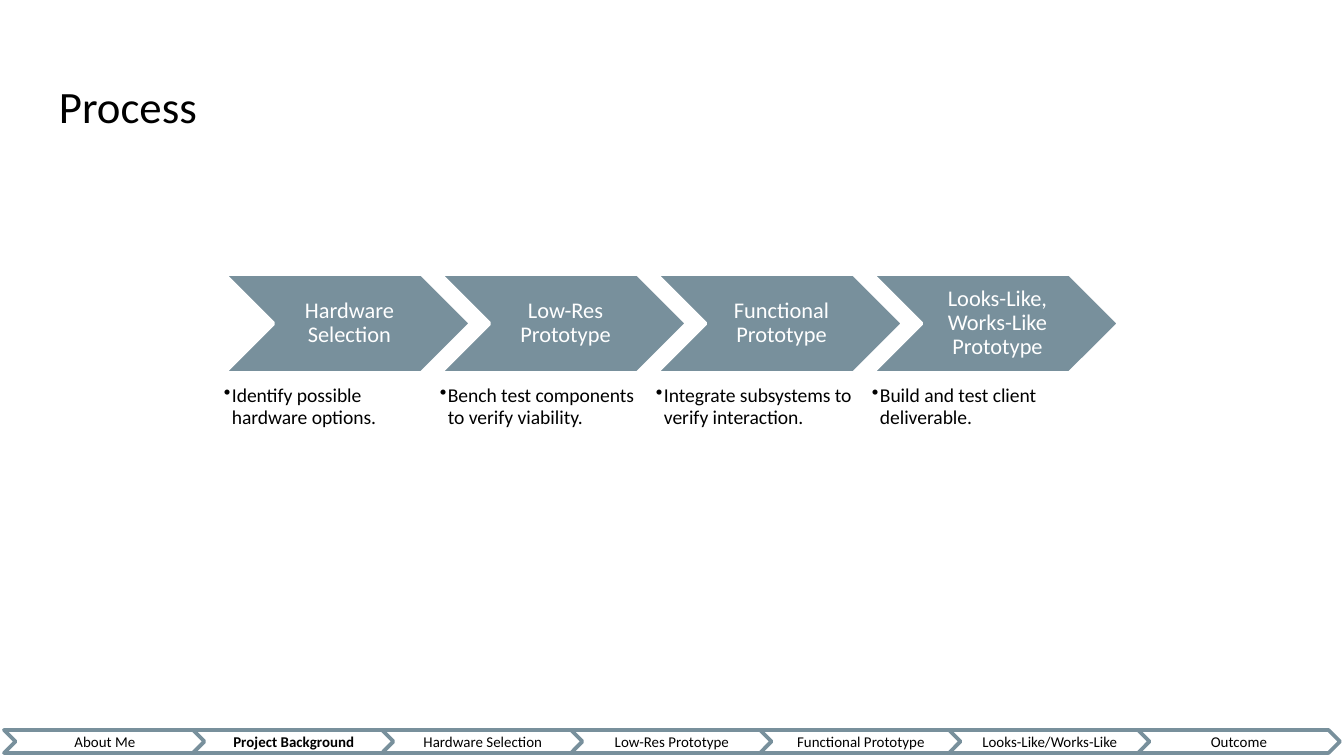
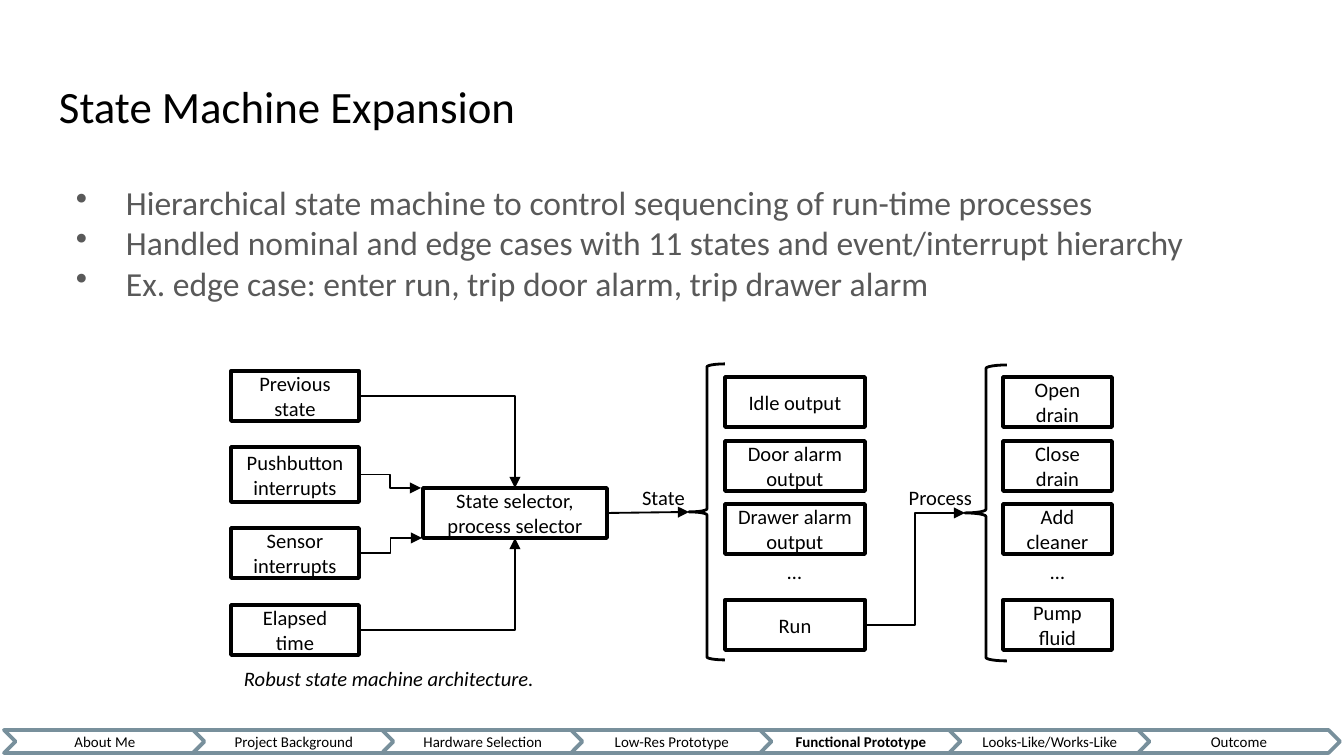
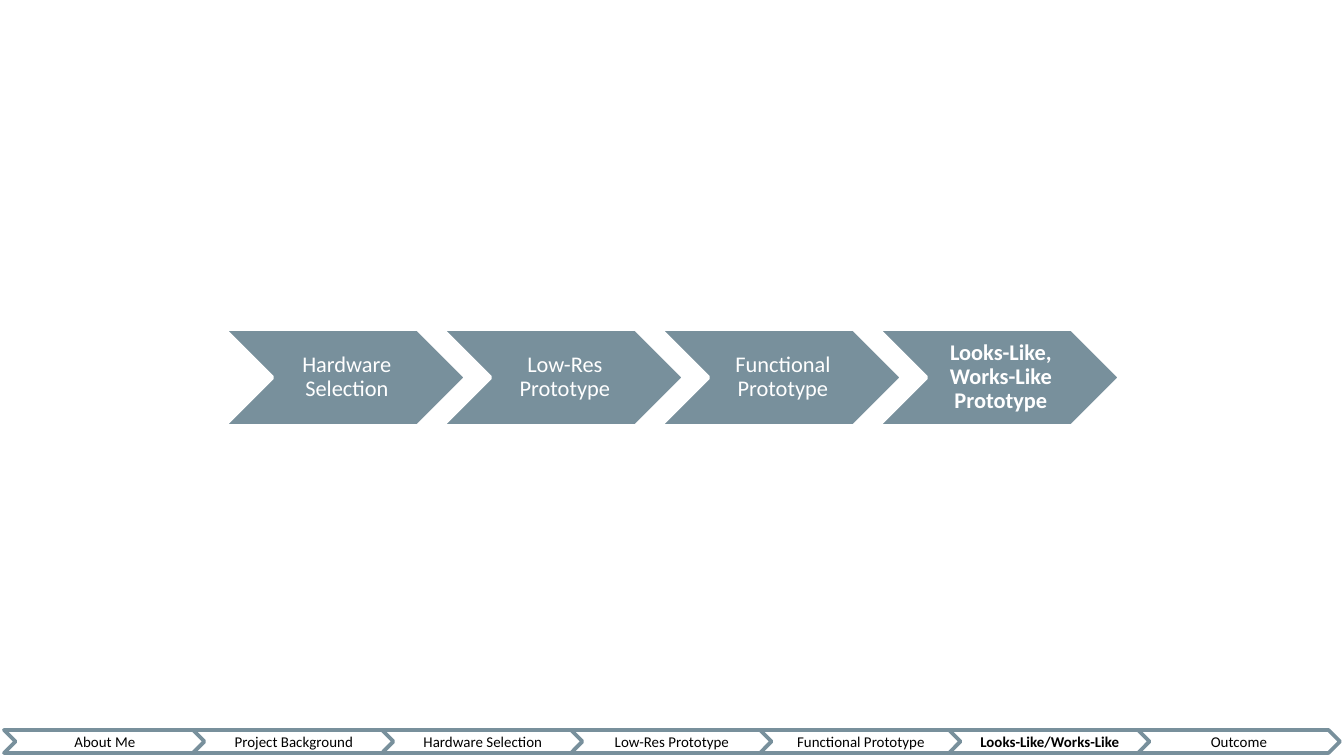
import lxml.etree
import pptx
import pptx.dml.color
import pptx.enum.shapes
import pptx.enum.text
import pptx.oxml.ns
import pptx.util

EMU_PER_PX = 914400 / 134.4
FONT = "Calibri"
COLORS = {
    "ink": "000000",
    "paper": "FFFFFF",
    "slate": "78909C",
    "body": "595959",
}
SHAPES = pptx.enum.shapes.MSO_SHAPE
CONNECTORS = pptx.enum.shapes.MSO_CONNECTOR
ALIGN = pptx.enum.text.PP_ALIGN
ANCHOR = pptx.enum.text.MSO_ANCHOR
TOP_SIDE, LEFT_SIDE, BOTTOM_SIDE, RIGHT_SIDE = range(4)

SECTIONS = [
    "About Me",
    "Project Background",
    "Hardware Selection",
    "Low-Res Prototype",
    "Functional Prototype",
    "Looks-Like/Works-Like",
    "Outcome",
]
STEPS = [
    "Hardware Selection",
    "Low-Res Prototype",
    "Functional Prototype",
    "Looks-Like, Works-Like Prototype",
]
STEP_DETAILS = [
    "Identify possible hardware options.",
    "Bench test components to verify viability.",
    "Integrate subsystems to verify interaction.",
    "Build and test client deliverable.",
]
STATE_POINTS = [
    "Hierarchical state machine to control sequencing of run-time processes",
    "Handled nominal and edge cases with 11 states and event/interrupt hierarchy",
    "Ex. edge case: enter run, trip door alarm, trip drawer alarm",
]
STEPS_LEFT = 224
INPUT_LEFT, INPUT_WIDTH = 231, 128
BOX_HEIGHT = 50
LABEL_WIDTH = 109
OUTCOME_TOPS = [377, 441, 504, 600]
ELLIPSIS_TOP = 546


def px(length):
    return pptx.util.Emu(round(length * EMU_PER_PX))


def rgb(name):
    return pptx.dml.color.RGBColor.from_string(COLORS[name])


def add_bullet(paragraph, color, indent, hanging):
    properties = paragraph._p.get_or_add_pPr()
    properties.set("marL", str(px(indent)))
    properties.set("indent", str(px(-hanging)))
    qn = pptx.oxml.ns.qn
    bullet_color = lxml.etree.SubElement(properties, qn("a:buClr"))
    lxml.etree.SubElement(bullet_color, qn("a:srgbClr"), val=COLORS[color])
    lxml.etree.SubElement(properties, qn("a:buChar"), char="•")


def write(shape, lines, size, color="ink", align=ALIGN.LEFT, anchor=ANCHOR.TOP,
          insets=(13, 7, 13, 7), spacing=None, bold=False, italic=False, bullet=None):
    frame = shape.text_frame
    frame.word_wrap = True
    frame.vertical_anchor = anchor
    frame.margin_left, frame.margin_top, frame.margin_right, frame.margin_bottom = map(px, insets)
    for index, line in enumerate(lines):
        paragraph = frame.add_paragraph() if index else frame.paragraphs[0]
        paragraph.alignment = align
        if spacing:
            paragraph.line_spacing = spacing
        if bullet:
            add_bullet(paragraph, color, *bullet)
        run = paragraph.add_run()
        run.text = line
        run.font.name = FONT
        run.font.size = pptx.util.Pt(size)
        run.font.color.rgb = rgb(color)
        run.font.bold = bold
        run.font.italic = italic


def add_text(slide, lines, left, top, width, height, size, **style):
    box = slide.shapes.add_textbox(px(left), px(top), px(width), px(height))
    write(box, lines, size, **style)


def add_outlined(slide, kind, left, top, width, height, line, weight, fill=None):
    shape = slide.shapes.add_shape(kind, px(left), px(top), px(width), px(height))
    shape.shadow.inherit = False
    if fill:
        shape.fill.solid()
        shape.fill.fore_color.rgb = rgb(fill)
    else:
        shape.fill.background()
    shape.line.color.rgb = rgb(line)
    shape.line.width = pptx.util.Pt(weight)
    return shape


def add_title(slide, title):
    add_text(slide, [title], 46, 66, 1253, 84, 24, insets=(13, 13, 13, 13))


def add_section_bar(slide, current):
    for index, section in enumerate(SECTIONS):
        chevron = add_outlined(slide, SHAPES.CHEVRON, 4 + index * 189, 730, 202, 23,
                               "slate", 2, "paper")
        write(chevron, [section], 8, align=ALIGN.CENTER, anchor=ANCHOR.MIDDLE,
              bold=section == current)


def add_steps(slide, top, width, height, pitch, current=None):
    for index, step in enumerate(STEPS):
        left = STEPS_LEFT + index * pitch
        add_outlined(slide, SHAPES.CHEVRON, left, top, width, height, "paper", 2, "slate")
        add_text(slide, [step], left + width // 5, top, width * 3 // 5, height, 12,
                 color="paper", align=ALIGN.CENTER, anchor=ANCHOR.MIDDLE,
                 insets=(7, 2, 2, 2), spacing=0.9, bold=step == current)


def add_box(slide, label, left, top, width, height=BOX_HEIGHT):
    box = add_outlined(slide, SHAPES.RECTANGLE, left, top, width, height, "ink", 2)
    write(box, [label], 11, align=ALIGN.CENTER, anchor=ANCHOR.MIDDLE)
    return box


def add_brace(slide, left, top, width, height):
    return add_outlined(slide, SHAPES.LEFT_BRACE, left, top, width, height, "ink", 1.5)


def add_label(slide, label, left, top, height):
    add_text(slide, [label], left, top, LABEL_WIDTH, height, 11,
             align=ALIGN.CENTER, anchor=ANCHOR.MIDDLE)


def add_outcomes(slide, labels, left, width):
    boxes = [add_box(slide, label, left, top, width)
             for label, top in zip(labels, OUTCOME_TOPS)]
    add_label(slide, "…", left + (width - LABEL_WIDTH) // 2, ELLIPSIS_TOP, BOX_HEIGHT)
    return boxes


def add_arrow(slide, source, target=None, side=None, point=(0, 0),
              kind=CONNECTORS.ELBOW, single_bend=False):
    start = source.left + source.width, source.top + source.height // 2
    arrow = slide.shapes.add_connector(kind, *start, *map(px, point))
    arrow.begin_connect(source, RIGHT_SIDE)
    if target is not None:
        arrow.end_connect(target, side)
    arrow.line.color.rgb = rgb("ink")
    arrow.line.width = pptx.util.Pt(1)
    qn = pptx.oxml.ns.qn
    properties = arrow._element.spPr
    if single_bend:
        properties.find(qn("a:prstGeom")).set("prst", "bentConnector2")
    lxml.etree.SubElement(properties.find(qn("a:ln")), qn("a:tailEnd"), type="triangle")
    lxml.etree.SubElement(properties, qn("a:effectLst"))


def add_state_machine(slide):
    previous = add_box(slide, "Previous state", INPUT_LEFT, 371, INPUT_WIDTH)
    pushbutton = add_box(slide, "Pushbutton interrupts", INPUT_LEFT, 447, INPUT_WIDTH, 55)
    sensor = add_box(slide, "Sensor interrupts", INPUT_LEFT, 528, INPUT_WIDTH)
    elapsed = add_box(slide, "Elapsed time", INPUT_LEFT, 605, INPUT_WIDTH)
    selector = add_box(slide, "State selector, process selector", 423, 488, 184)

    state_brace = add_brace(slide, 689, 364, 36, 296)
    outputs = add_outcomes(
        slide, ["Idle output", "Door alarm output", "Drawer alarm output", "Run"], 725, 140)
    process_brace = add_brace(slide, 965, 365, 42, 296)
    add_outcomes(slide, ["Open drain", "Close drain", "Add cleaner", "Pump fluid"], 1003, 109)

    add_arrow(slide, previous, selector, TOP_SIDE, single_bend=True)
    add_arrow(slide, elapsed, selector, BOTTOM_SIDE, single_bend=True)
    add_arrow(slide, pushbutton, point=(421, 488))
    add_arrow(slide, sensor, point=(422, 538))
    add_arrow(slide, selector, state_brace, LEFT_SIDE, kind=CONNECTORS.STRAIGHT)
    add_arrow(slide, outputs[-1], process_brace, LEFT_SIDE)

    add_label(slide, "State", 609, 476, 43)
    add_label(slide, "Process", 886, 476, 43)
    add_text(slide, ["Robust state machine architecture."], INPUT_LEFT, 655, 367, 47, 11,
             anchor=ANCHOR.MIDDLE, italic=True)


def build_process(slide):
    pitch = 216
    add_title(slide, "Process")
    add_steps(slide, 274, 247, 99, pitch)
    for index, detail in enumerate(STEP_DETAILS):
        add_text(slide, [detail], STEPS_LEFT + index * pitch, 386, 198, 95, 10.5,
                 insets=(0, 0, 0, 0), spacing=0.9, bullet=(8, 8))
    add_section_bar(slide, "Project Background")


def build_state_machine(slide):
    add_title(slide, "State Machine Expansion")
    add_text(slide, STATE_POINTS, 46, 169, 1253, 169, 18, color="body",
             insets=(13, 13, 13, 13), bullet=(67, 50))
    add_state_machine(slide)
    add_section_bar(slide, "Functional Prototype")


def build_final_step(slide):
    add_steps(slide, 329, 242, 97, 218, STEPS[-1])
    add_section_bar(slide, "Looks-Like/Works-Like")


def main():
    deck = pptx.Presentation()
    deck.slide_width = px(1344)
    deck.slide_height = px(756)
    for build in (build_process, build_state_machine, build_final_step):
        slide = deck.slides.add_slide(deck.slide_layouts[6])
        slide.background.fill.solid()
        slide.background.fill.fore_color.rgb = rgb("paper")
        build(slide)
    deck.save("out.pptx")


if __name__ == "__main__":
    main()
